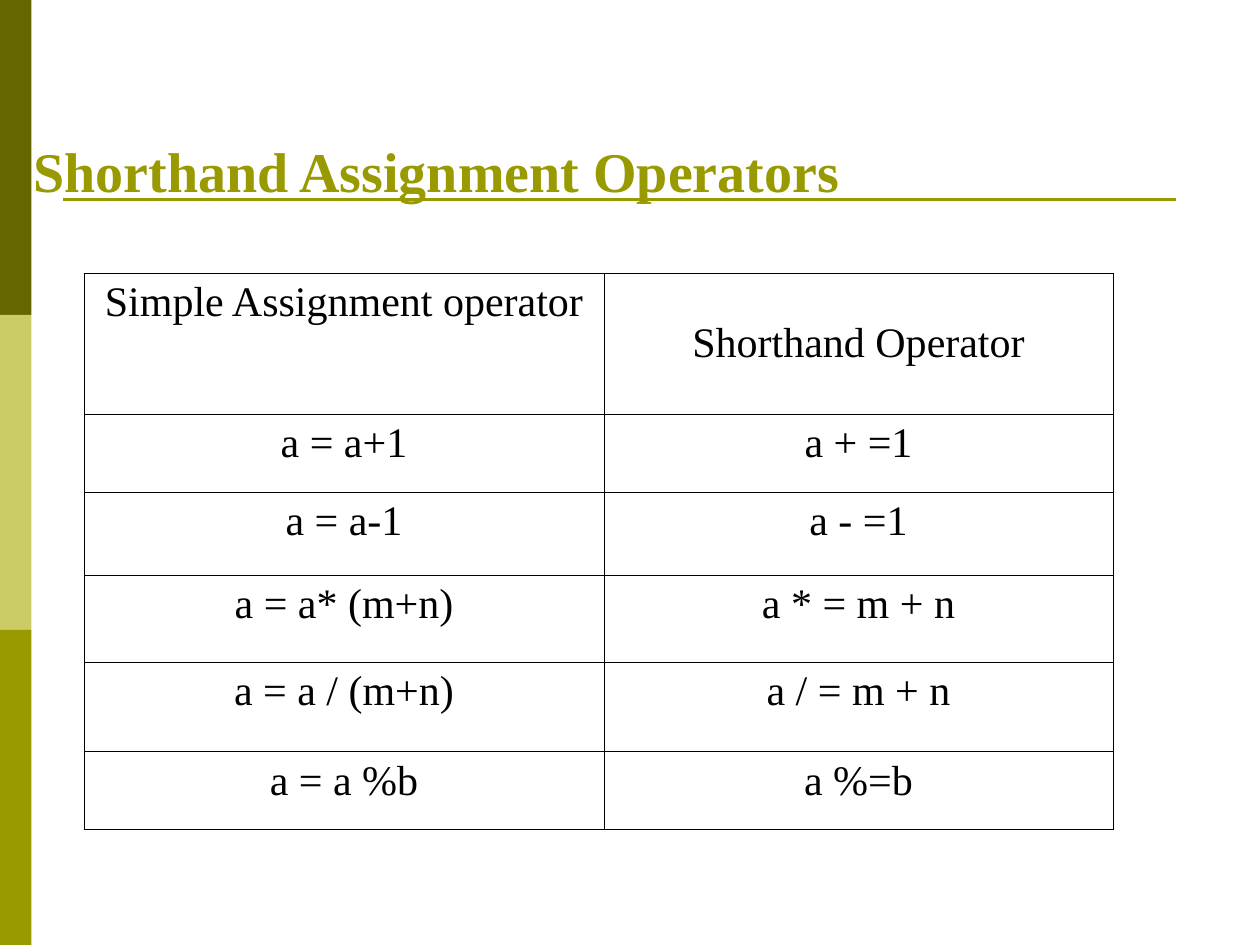
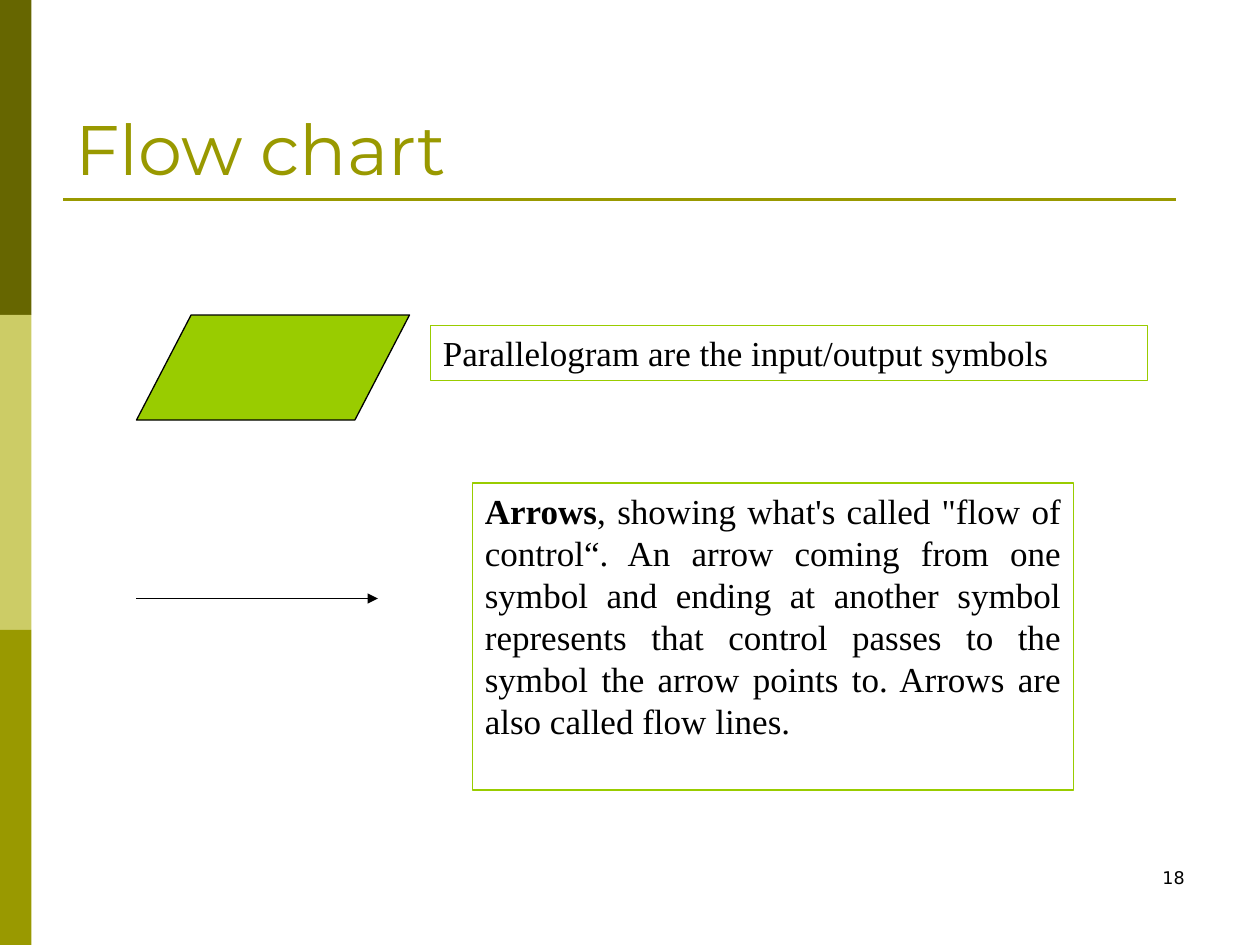
import pptx
import pptx.util
import pptx.dml.color
import pptx.enum.shapes
import pptx.enum.text
import pptx.oxml
import pptx.oxml.ns
from collections import namedtuple

Box = namedtuple("Box", "left top width height")
SHAPE = pptx.enum.shapes.MSO_SHAPE
ALIGN = pptx.enum.text.PP_ALIGN
ANCHOR = pptx.enum.text.MSO_ANCHOR

# Grid: 120 columns by 90 rows, each a twelfth of an inch
COLUMNS, ROWS = 120, 90
UNIT = pptx.util.Inches(10) // COLUMNS
SLIDE = Box(0, 0, COLUMNS, ROWS)

COLOURS = {
    "dark olive": "666600",
    "pale olive": "CCCC66",
    "olive": "999900",
    "lime": "99CC00",
    "ink": "000000",
}
SERIF, SANS, DISPLAY = "Times New Roman", "DejaVu Sans", "Montserrat"

# Text formats: font values
BOLD_TITLE = {"name": SERIF, "size": pptx.util.Pt(32), "bold": True}
LIGHT_TITLE = {"name": DISPLAY, "size": pptx.util.Pt(40), "bold": False}
TABLE_TEXT = {"name": SERIF, "size": pptx.util.Pt(24)}
NOTE_TEXT = {"name": SERIF, "size": pptx.util.Pt(20)}
PAGE_TEXT = {"name": SANS, "size": pptx.util.Pt(10)}

OPERATORS = [
    ("Simple Assignment operator", "Shorthand Operator"),
    ("a = a+1", "a + =1"),
    ("a = a-1", "a - =1"),
    ("a = a* (m+n)", "a * = m + n"),
    ("a = a / (m+n)", "a / = m + n"),
    ("a = a %b", "a %=b"),
]
OPERATOR_COLUMNS = [4.13, 4.04]
OPERATOR_ROWS = [1.12, 0.62, 0.66, 0.69, 0.71, 0.62]

PARALLELOGRAM_NOTE = [("Parallelogram are the input/output symbols", False)]
ARROW_NOTE = [
    ("Arrows", True),
    (", showing what's called \"flow of control“. An arrow coming from one "
     "symbol and ending at another symbol represents that control passes to "
     "the symbol the arrow points to. Arrows are also called flow lines.", False),
]


def rgb(colour):
    return pptx.dml.color.RGBColor.from_string(COLOURS[colour])


def emu(*lengths):
    return [round(length * UNIT) for length in lengths]


def within(box, left, top, width, height):
    return Box(box.left + left, box.top + top, width, height)


def apply(target, values):
    for attribute, value in values.items():
        setattr(target, attribute, value)


def write(frame, runs, font, colour="ink", align=ALIGN.LEFT):
    paragraph = frame.paragraphs[0]
    paragraph.alignment = align
    for text, bold in runs:
        run = paragraph.add_run()
        run.text = text
        apply(run.font, {"bold": bold, **font})
        run.font.color.rgb = rgb(colour)


def add_text(slide, box, text, font, colour="ink", align=ALIGN.LEFT, anchor=ANCHOR.TOP):
    frame = slide.shapes.add_textbox(*emu(*box)).text_frame
    apply(frame, {"word_wrap": True, "vertical_anchor": anchor})
    write(frame, [(text, False)], font, colour, align)


def add_block(slide, kind, box, fill=None, outline=None):
    block = slide.shapes.add_shape(kind, *emu(*box))
    block.shadow.inherit = False
    if fill:
        block.fill.solid()
        block.fill.fore_color.rgb = rgb(fill)
    else:
        block.fill.background()
    if outline:
        block.line.color.rgb = rgb(outline)
        block.line.width = pptx.util.Pt(0.75)
    else:
        block.line.fill.background()
    return block


def add_rule(slide, left, right, row, colour, width, arrow=False):
    rule = slide.shapes.add_connector(
        pptx.enum.shapes.MSO_CONNECTOR.STRAIGHT, *emu(left, row, right, row))
    rule.line.color.rgb = rgb(colour)
    rule.line.width = pptx.util.Pt(width)
    if arrow:
        pptx.oxml.ns.qn("a:tailEnd")
        line = rule.line._get_or_add_ln()
        line.append(xml('<a:tailEnd %s type="triangle"/>'))
    rule._element.spPr.append(xml("<a:effectLst %s/>"))


def xml(template):
    return pptx.oxml.parse_xml(template % pptx.oxml.ns.nsdecls("a"))


# Side bands, title and the rule under it
def draw_frame(slide, box, title, title_box, title_font):
    band = box.height / 3
    for index, colour in enumerate(("dark olive", "pale olive", "olive")):
        add_block(slide, SHAPE.RECTANGLE, within(box, 0, index * band, 3, band), colour)
    add_rule(slide, box.left + 6, box.left + 112, box.top + 19, "olive", 1.5)
    add_text(slide, within(box, *title_box), title, title_font, "olive",
             anchor=ANCHOR.BOTTOM)


def outline_cell(cell):
    properties = cell._tc.get_or_add_tcPr()
    for index, side in enumerate("LRTB"):
        properties.insert(index, xml(
            f'<a:ln{side} %s w="5715"><a:solidFill><a:srgbClr val="{COLOURS["ink"]}"/>'
            f"</a:solidFill></a:ln{side}>"))


# Table of operators, sized by shares of its box
def draw_operators(slide, box):
    table = slide.shapes.add_table(
        len(OPERATORS), len(OPERATOR_COLUMNS), *emu(*box)).table
    apply(table, {"first_row": False, "horz_banding": False})
    for column, share in zip(table.columns, OPERATOR_COLUMNS):
        column.width = emu(box.width * share / sum(OPERATOR_COLUMNS))[0]
    for row, share, texts in zip(table.rows, OPERATOR_ROWS, OPERATORS):
        row.height = emu(box.height * share / sum(OPERATOR_ROWS))[0]
        for cell, text in zip(row.cells, texts):
            write(cell.text_frame, [(text, False)], TABLE_TEXT, align=ALIGN.CENTER)
            cell.fill.background()
            outline_cell(cell)
    table.cell(0, 1).vertical_anchor = ANCHOR.MIDDLE


def draw_note(slide, box, runs, align=ALIGN.LEFT):
    frame = add_block(slide, SHAPE.RECTANGLE, box, outline="lime").text_frame
    apply(frame, {"word_wrap": True, "vertical_anchor": ANCHOR.TOP})
    write(frame, runs, NOTE_TEXT, align=align)


# Flow chart symbols on the left, their meanings on the right
def draw_symbols(slide, box):
    add_block(slide, SHAPE.FLOWCHART_DATA, within(box, 0, 0, 26, 10), "lime", "ink")
    draw_note(slide, within(box, 28, 1, 68.3, 5.25), PARALLELOGRAM_NOTE)
    draw_note(slide, within(box, 32, 16, 57.25, 29.25), ARROW_NOTE, ALIGN.JUSTIFY)
    add_rule(slide, box.left, box.left + 23, box.top + 27, "ink", 0.75, arrow=True)


def main():
    deck = pptx.Presentation()
    deck.slide_width, deck.slide_height = emu(COLUMNS, ROWS)
    blank = deck.slide_layouts[6]

    # Shorthand operators
    shorthand = deck.slides.add_slide(blank)
    draw_frame(shorthand, SLIDE, "Shorthand Assignment Operators",
               (2, 7, 108, 13), BOLD_TITLE)
    draw_operators(shorthand, Box(8, 26, 98, 53))

    # Flow chart
    flow_chart = deck.slides.add_slide(blank)
    draw_frame(flow_chart, SLIDE, "Flow chart", (6, 3.6, 108, 15), LIGHT_TITLE)
    draw_symbols(flow_chart, Box(13, 30, 96, 46))
    add_text(flow_chart, Box(86, 82, 28, 6), "18", PAGE_TEXT, align=ALIGN.RIGHT)

    deck.save("out.pptx")


if __name__ == "__main__":
    main()
